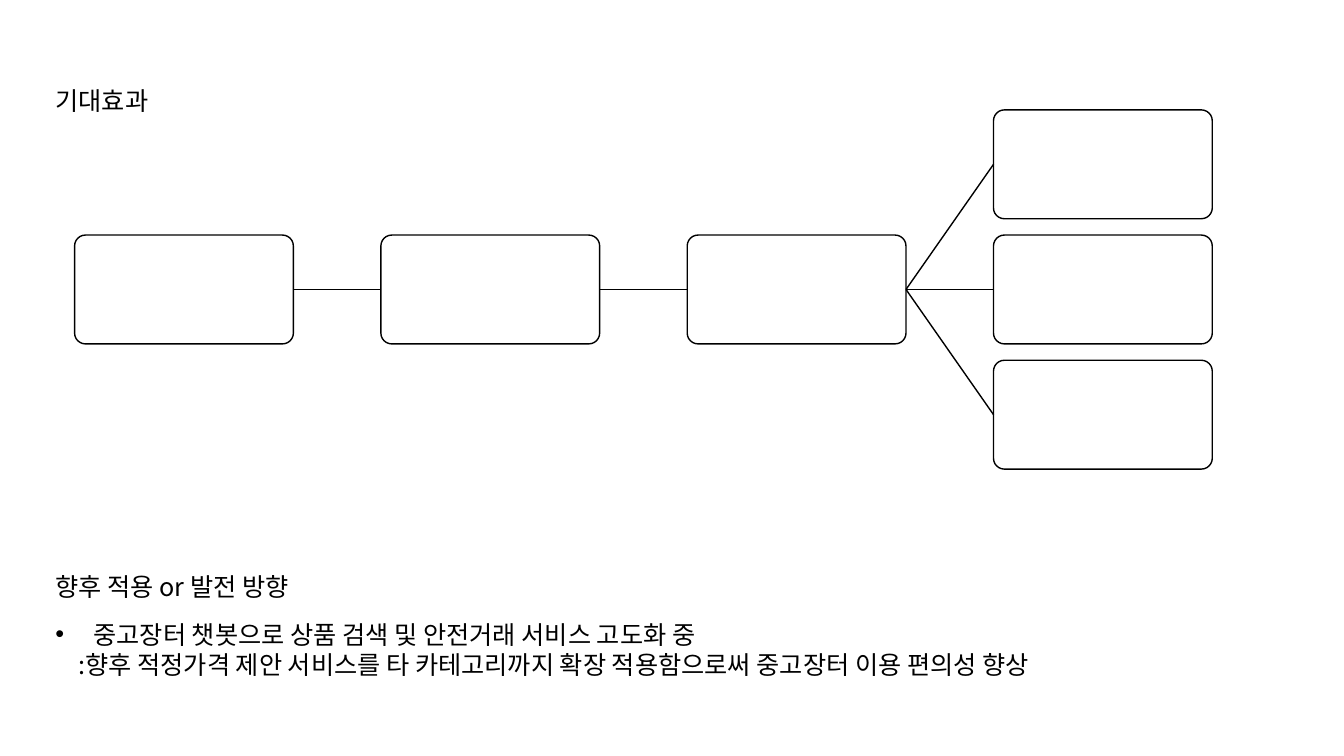
"""Build the slide on expected effects and future direction."""
import pptx
import pptx.dml.color
import pptx.enum.shapes
import pptx.enum.text
import pptx.oxml
import pptx.oxml.ns
import pptx.util

FONT = "Noto Sans CJK KR"
INK, PAPER = "000000", "FFFFFF"
MARGIN = 0.45
BOX_W, BOX_H = 2.17, 1.08
COLUMN_STEP, ROW_STEP = 1.4 * BOX_W, 1.15 * BOX_H
CHART_LEFT, CHART_TOP = 0.74, 1.09
LEFT_SITE, RIGHT_SITE = 1, 3


def inches(*lengths):
    return [pptx.util.Inches(length) for length in lengths]


def color(target, hex_code):
    target.rgb = pptx.dml.color.RGBColor.from_string(hex_code)


def add_xml(parent, tag, **attributes):
    element = pptx.oxml.parse_xml(f"<a:{tag} {pptx.oxml.ns.nsdecls('a')}/>")
    for name, value in attributes.items():
        element.set(name, value)
    parent.append(element)


def format_text(paragraph):
    paragraph.alignment = pptx.enum.text.PP_ALIGN.LEFT
    for run in paragraph.runs:
        run.font.size = pptx.util.Pt(18)
        run.font.name = FONT
        color(run.font.color, INK)
        add_xml(run._r.get_or_add_rPr(), "ea", typeface=FONT)


def indent(paragraph, margin, first_line=0, bullet=None):
    properties = paragraph._p.get_or_add_pPr()
    properties.set("marL", str(pptx.util.Inches(margin)))
    properties.set("indent", str(pptx.util.Inches(first_line)))
    if bullet:
        add_xml(properties, "buFont", typeface="Arial")
        add_xml(properties, "buChar", char=bullet)


def set_title(slide, text):
    title = slide.shapes.title
    title.left, title.top, title.width, title.height = inches(MARGIN, 0.83, 11.5, 0.55)
    frame = title.text_frame
    frame.text = text
    frame.vertical_anchor = pptx.enum.text.MSO_ANCHOR.TOP
    frame.auto_size = pptx.enum.text.MSO_AUTO_SIZE.NONE
    frame.paragraphs[0].line_spacing = 0.9
    format_text(frame.paragraphs[0])


def add_text(slide, top, width, height, lines, wrap=True):
    box = slide.shapes.add_textbox(*inches(MARGIN, top, width, height))
    frame = box.text_frame
    frame.text = "\n".join(lines)
    frame.word_wrap = wrap
    frame.auto_size = pptx.enum.text.MSO_AUTO_SIZE.SHAPE_TO_FIT_TEXT
    for paragraph in frame.paragraphs:
        format_text(paragraph)
    return frame.paragraphs


def add_step(slide, column, row):
    step = slide.shapes.add_shape(
        pptx.enum.shapes.MSO_SHAPE.ROUNDED_RECTANGLE,
        *inches(CHART_LEFT + column * COLUMN_STEP, CHART_TOP + row * ROW_STEP, BOX_W, BOX_H))
    step.adjustments[0] = 0.1
    step.shadow.inherit = False
    step.fill.solid()
    color(step.fill.fore_color, PAPER)
    step.line.width = pptx.util.Pt(1)
    color(step.line.color, INK)
    return step


def link(slide, source, target):
    line = slide.shapes.add_connector(pptx.enum.shapes.MSO_CONNECTOR.STRAIGHT, 0, 0, 0, 0)
    line.begin_connect(source, RIGHT_SITE)
    line.end_connect(target, LEFT_SITE)
    line.line.width = pptx.util.Pt(1)
    color(line.line.color, INK)
    add_xml(line._element.spPr, "effectLst")


def add_flow(slide):
    chain = [add_step(slide, column, 1) for column in range(3)]
    outcomes = [add_step(slide, 3, row) for row in range(3)]
    for source, target in zip(chain, chain[1:]):
        link(slide, source, target)
    for outcome in outcomes:
        link(slide, chain[-1], outcome)


def main():
    deck = pptx.Presentation()
    deck.slide_width, deck.slide_height = inches(13.33, 7.5)
    slide = deck.slides.add_slide(deck.slide_layouts.get_by_name("Title Only"))
    set_title(slide, "기대효과")
    plan, detail = add_text(slide, 6.09, 11.84, 0.71, [
        "중고장터 챗봇으로 상품 검색 및 안전거래 서비스 고도화 중",
        ":향후 적정가격 제안 서비스를 타 카테고리까지 확장 적용함으로써 중고장터 이용 편의성 향상"])
    indent(plan, 0.38, -0.38, "•")
    indent(detail, 0.23)
    add_text(slide, 5.62, 2.82, 0.4, ["향후 적용 or 발전 방향"], wrap=False)
    add_flow(slide)
    deck.save("out.pptx")


if __name__ == "__main__":
    main()
